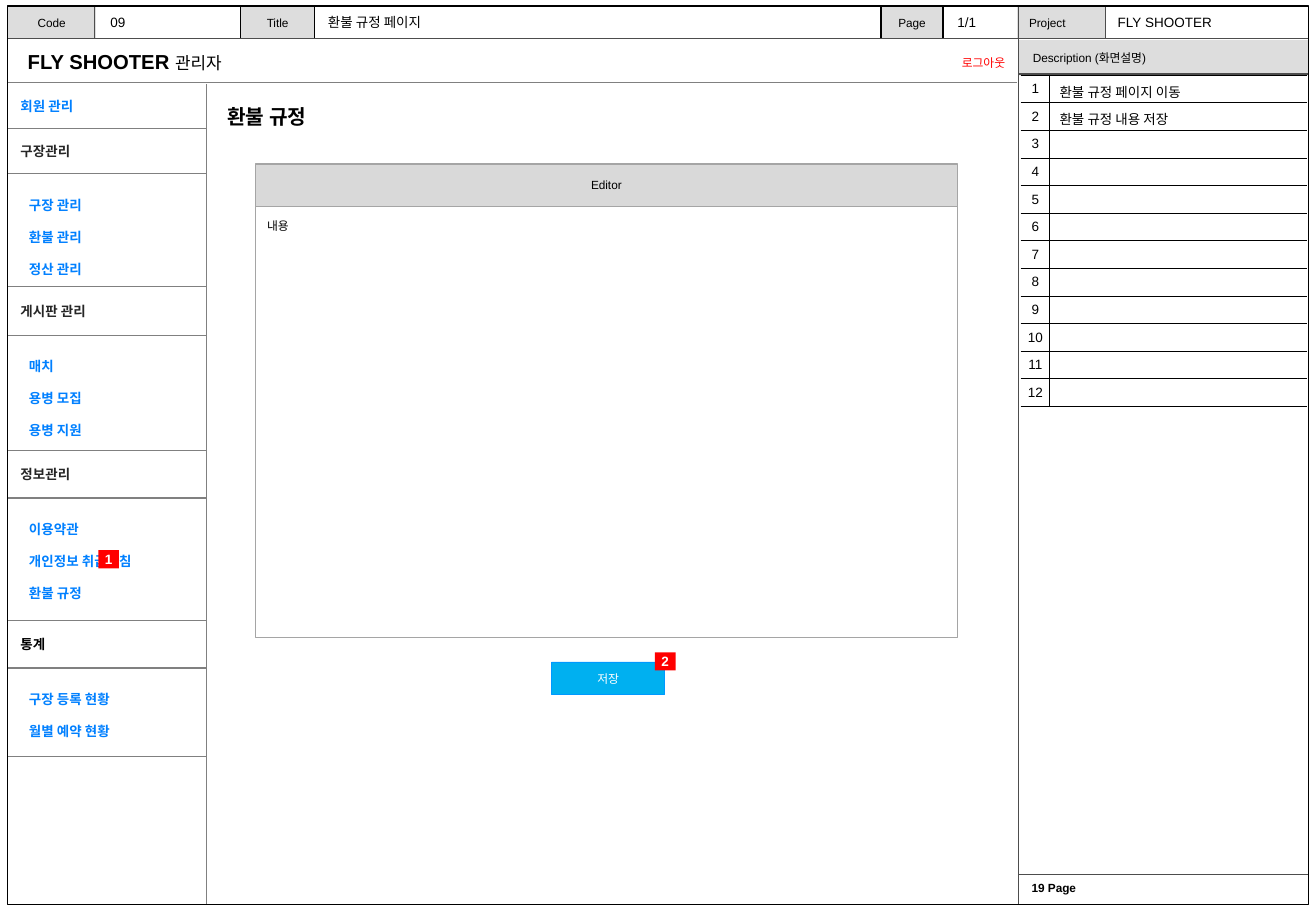
"""Build the admin refund-policy wireframe slide."""
import collections

import pptx
import pptx.dml.color
import pptx.enum.shapes
import pptx.enum.text
import pptx.oxml
import pptx.oxml.ns
import pptx.util
from pptx.util import Inches

Box = collections.namedtuple("Box", "left top width height")
ALIGN = pptx.enum.text.PP_ALIGN
ANCHOR = pptx.enum.text.MSO_ANCHOR
LATIN, KOREAN = "Arial", "Noto Sans CJK KR"
COLORS = {
    "black": "000000", "white": "FFFFFF", "label": "DDDDDD", "rule": "4D4D4D",
    "divider": "808080", "link": "0080FF", "heading": "262626", "red": "FF0000",
    "button": "00B0F0", "button_edge": "0099FF", "toolbar": "D9D9D9", "edge": "A5A5A5",
}
MENU = [
    ("회원 관리", "link", 0.37, [], 0),
    ("구장관리", "heading", 0.37, ["구장 관리", "환불 관리", "정산 관리"], 0.93),
    ("게시판 관리", "heading", 0.4, ["매치", "용병 모집", "용병 지원"], 0.95),
    ("정보관리", "heading", 0.39, ["이용약관", "개인정보 취급방침", "환불 규정"], 1.01),
    ("통계", "black", 0.39, ["구장 등록 현황", "월별 예약 현황"], 0.73),
]
DESCRIPTIONS = ["환불 규정 페이지 이동", "환불 규정 내용 저장"] + [""] * 10


def rgb(name):
    """Return the named colour."""
    return pptx.dml.color.RGBColor.from_string(COLORS[name])


def write_text(frame, text, size=7, color="black", bold=False, align=ALIGN.LEFT,
               font=LATIN, spacing=None, append=False):
    """Write each line of text as a paragraph, or append a run to the first one."""
    for index, line in enumerate(text.split("\n")):
        paragraph = frame.add_paragraph() if index else frame.paragraphs[0]
        paragraph.alignment = align
        if spacing:
            paragraph.line_spacing = pptx.util.Pt(spacing)
        if not line:
            end = pptx.oxml.parse_xml(
                f'<a:endParaRPr {pptx.oxml.ns.nsdecls("a")} sz="{size * 100}"/>')
            paragraph._p.append(end)
            continue
        run = paragraph.add_run()
        run.text = line
        run.font.name, run.font.size, run.font.bold = font, pptx.util.Pt(size), bold
        run.font.color.rgb = rgb(color)
        run.font._element.append(pptx.oxml.parse_xml(
            f'<a:ea {pptx.oxml.ns.nsdecls("a")} typeface="{KOREAN}"/>'))


def add_box(slide, box, text="", fill=None, line=None, line_width=0.75,
            anchor=ANCHOR.TOP, margins=(0.1, 0.05), **text_format):
    """Add a rectangle, or a text box when it has neither fill nor line."""
    place = [Inches(value) for value in box]
    if fill or line:
        shape = slide.shapes.add_shape(pptx.enum.shapes.MSO_SHAPE.RECTANGLE, *place)
        shape.shadow.inherit = False
        if fill:
            shape.fill.solid()
            shape.fill.fore_color.rgb = rgb(fill)
        else:
            shape.fill.background()
        if line:
            shape.line.color.rgb = rgb(line)
            shape.line.width = pptx.util.Pt(line_width)
        else:
            shape.line.fill.background()
    else:
        shape = slide.shapes.add_textbox(*place)
    if text:
        format_frame(shape.text_frame, anchor, margins)
        write_text(shape.text_frame, text, **text_format)
    return shape


def format_frame(frame, anchor, margins):
    """Set wrapping, anchor and margins of a text frame."""
    frame.word_wrap, frame.vertical_anchor = True, anchor
    frame.margin_left = frame.margin_right = Inches(margins[0])
    frame.margin_top = frame.margin_bottom = Inches(margins[1])


def add_line(slide, start, end, color="rule"):
    """Add a thin straight line."""
    connector = slide.shapes.add_connector(
        pptx.enum.shapes.MSO_CONNECTOR.STRAIGHT, *(Inches(value) for value in start + end))
    connector.line.color.rgb = rgb(color)
    connector.line.width = pptx.util.Pt(0.75)
    connector._element.spPr.append(
        pptx.oxml.parse_xml(f'<a:effectLst {pptx.oxml.ns.nsdecls("a")}/>'))


def add_marker(slide, left, top, number):
    """Add a red numbered callout."""
    add_box(slide, Box(left, top, 0.17, 0.15), number, fill="red", anchor=ANCHOR.MIDDLE,
            margins=(0, 0), size=8, color="white", bold=True, align=ALIGN.CENTER)


def build_header(slide, box):
    """Place the document fields along the top strip."""
    fields = [("Code", 0, 0.73, "09", 0.75, None),
              ("Title", 1.92, 0.61, "환불 규정 페이지", 2.54, "black"),
              ("Page", 7.19, 0.51, "1/1", 7.72, "black"),
              ("Project", 8.31, 0.73, "FLY SHOOTER", 9.04, None)]
    for label, left, width, value, value_left, line in fields:
        align = ALIGN.LEFT if label == "Project" else ALIGN.CENTER
        add_box(slide, Box(box.left + left, box.top, width, box.height), label,
                fill="label", line=line, anchor=ANCHOR.MIDDLE, align=align)
        width = 4.65 if label == "Title" else 1.6 if label == "Project" else 0.6
        add_box(slide, Box(box.left + value_left, box.top + 0.02, width, 0.24), value, size=8)
    for left in (0.72, 9.04):
        add_line(slide, (box.left + left, box.top), (box.left + left, box.top + box.height))
    bottom = box.top + box.height
    add_line(slide, (box.left, bottom), (box.left + box.width, bottom))


def build_banner(slide, box):
    """Place the site name and the logout link."""
    name = add_box(slide, Box(box.left + 0.07, box.top + 0.03, 6.45, 0.3), "FLY SHOOTER ",
                   anchor=ANCHOR.MIDDLE, size=12, bold=True)
    write_text(name.text_frame, "관리자", size=10, append=True)
    right, bottom = box.left + box.width, box.top + box.height
    add_box(slide, Box(right - 1.17, box.top + 0.08, 1.17, 0.22), "로그아웃",
            color="red", align=ALIGN.RIGHT)
    add_line(slide, (box.left, bottom), (right, bottom), "divider")


def build_sidebar(slide, box):
    """Stack the menu sections, each closed by a divider."""
    right = box.left + box.width
    add_line(slide, (right, box.top), (right, box.top + box.height), "divider")
    top = box.top
    for heading, color, heading_height, items, items_height in MENU:
        add_box(slide, Box(box.left + 0.01, top, 1.5, heading_height), heading,
                anchor=ANCHOR.MIDDLE, size=8, color=color, bold=True)
        top += heading_height
        add_line(slide, (box.left, top), (right, top), "divider")
        if items:
            add_box(slide, Box(box.left + 0.08, top + 0.01, 1.5, items_height - 0.01),
                    "\n".join(items), size=8, color="link", bold=True, spacing=19)
            top += items_height
            add_line(slide, (box.left, top), (right, top), "divider")
    add_marker(slide, box.left + 0.75, box.top + 3.84, "1")


def build_editor(slide, box):
    """Place the page title, the editor and the save button."""
    title = slide.shapes.title
    title.left, title.top = Inches(box.left + 0.07), Inches(box.top + 0.12)
    title.width, title.height = Inches(1.74), Inches(0.3)
    format_frame(title.text_frame, ANCHOR.MIDDLE, (0.1, 0))
    write_text(title.text_frame, "환불 규정", size=12, bold=True, font=KOREAN)
    left, top, width = box.left + 0.4, box.top + 0.66, 5.78
    add_box(slide, Box(left, top + 0.35, width, 3.55), "내용", fill="white", line="edge",
            margins=(0.1, 0.1))
    add_box(slide, Box(left, top, width, 0.35), "Editor", fill="toolbar", line="edge",
            anchor=ANCHOR.MIDDLE, align=ALIGN.CENTER)
    add_box(slide, Box(left + 2.44, top + 4.1, 0.93, 0.27), "저장", fill="button",
            line="button_edge", line_width=0.25, anchor=ANCHOR.MIDDLE, color="white",
            align=ALIGN.CENTER, font=KOREAN)
    add_marker(slide, left + 3.29, top + 4.02, "2")


def set_borders(cell, sides):
    """Draw the given sides of a cell in black and clear the others."""
    properties = cell._tc.get_or_add_tcPr()
    for index, side in enumerate("LRTB"):
        fill = (f'<a:solidFill><a:srgbClr val="{COLORS["black"]}"/></a:solidFill>'
                if side in sides else "<a:noFill/>")
        properties.insert(index, pptx.oxml.parse_xml(
            f'<a:ln{side} {pptx.oxml.ns.nsdecls("a")} w="9525">{fill}</a:ln{side}>'))


def build_description(slide, box):
    """Place the description panel with its numbered table and page footer."""
    right, bottom = box.left + box.width, box.top + box.height
    add_box(slide, Box(box.left, box.top, box.width, 0.29), "Description (화면설명)",
            fill="label", anchor=ANCHOR.MIDDLE, margins=(0.12, 0.05))
    for top in (box.top + 0.28, bottom - 0.25):
        add_line(slide, (box.left, top), (right, top))
    add_line(slide, (box.left, 0.05), (box.left, bottom))
    add_box(slide, Box(box.left + 0.03, bottom - 0.24, 2.32, 0.2), "19 Page",
            margins=(0.08, 0.04), bold=True)
    table = slide.shapes.add_table(
        len(DESCRIPTIONS), 2, Inches(box.left + 0.02), Inches(box.top + 0.29),
        Inches(2.36), Inches(2.73)).table
    table.first_row = table.horz_banding = False
    table.columns[0].width, table.columns[1].width = Inches(0.24), Inches(2.12)
    for index, description in enumerate(DESCRIPTIONS):
        table.rows[index].height = Inches(2.73 / len(DESCRIPTIONS))
        contents = [(str(index + 1), ALIGN.CENTER, 0.04, 0.04, "RTB"),
                    (description, ALIGN.LEFT, 0.08, 0.01, "LTB")]
        for column, (text, align, side, base, borders) in enumerate(contents):
            cell = table.cell(index, column)
            cell.fill.background()
            cell.margin_left = cell.margin_right = Inches(side)
            cell.margin_top, cell.margin_bottom = Inches(0.05), Inches(base)
            set_borders(cell, borders)
            write_text(cell.text_frame, text, size=8, align=align)


def main():
    """Build and save the presentation."""
    presentation = pptx.Presentation()
    presentation.slide_width, presentation.slide_height = Inches(10.83), Inches(7.5)
    slide = presentation.slides.add_slide(presentation.slide_layouts[5])
    build_header(slide, Box(0.06, 0.05, 10.71, 0.27))
    build_banner(slide, Box(0.06, 0.33, 8.31, 0.35))
    build_sidebar(slide, Box(0.06, 0.69, 1.64, 6.76))
    build_editor(slide, Box(1.7, 0.69, 6.67, 6.76))
    build_description(slide, Box(8.38, 0.33, 2.39, 7.12))
    add_box(slide, Box(0.06, 0.05, 10.71, 7.4), line="black")
    presentation.save("out.pptx")


main()
